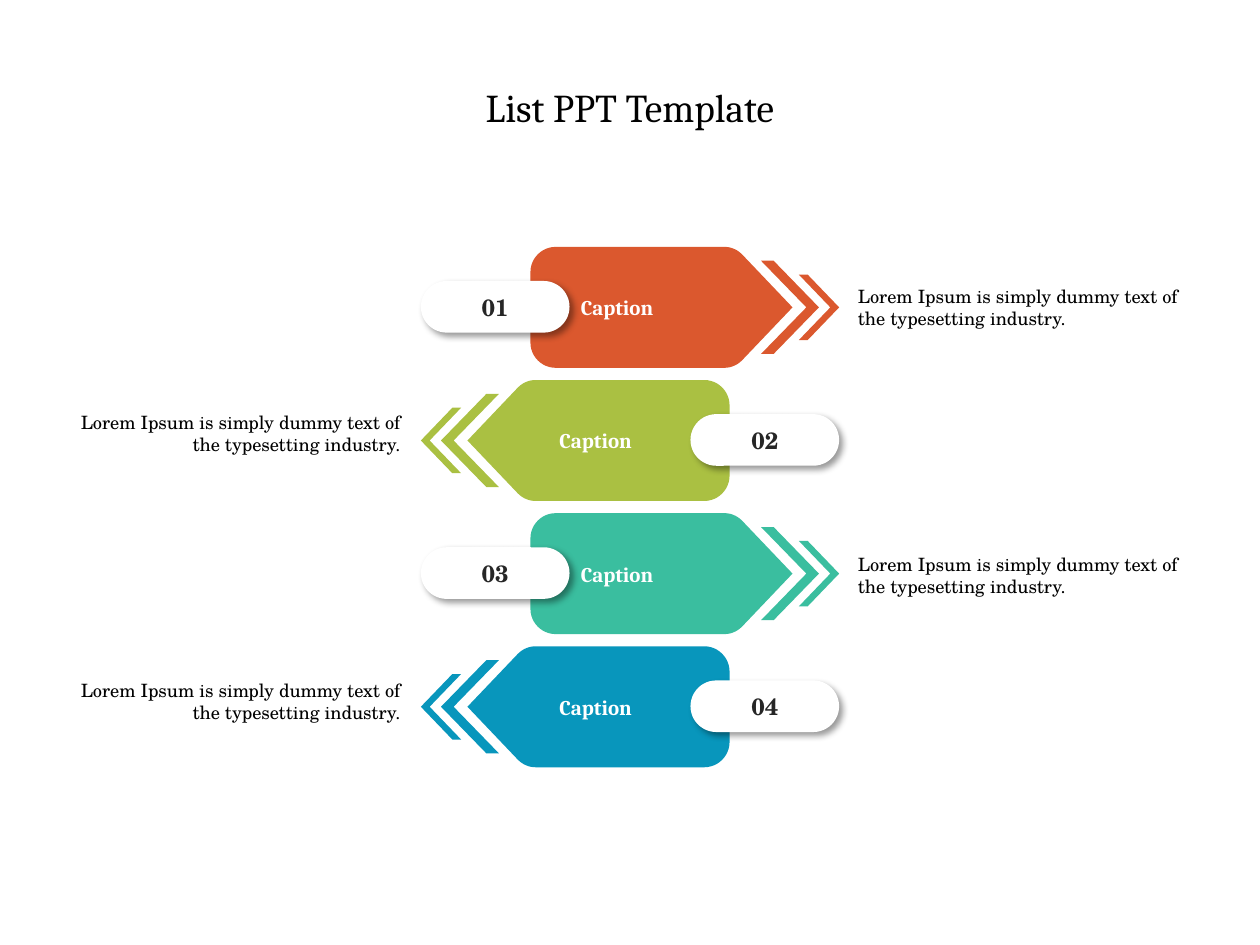
from pptx import Presentation
from pptx.dml.color import RGBColor
from pptx.enum.shapes import MSO_SHAPE
from pptx.enum.text import MSO_ANCHOR, MSO_AUTO_SIZE, PP_ALIGN
from pptx.oxml import parse_xml
from pptx.oxml.ns import nsdecls, qn
from pptx.util import Inches, Pt

PILL = MSO_SHAPE.ROUNDED_RECTANGLE
TOP, MIDDLE = MSO_ANCHOR.TOP, MSO_ANCHOR.MIDDLE
GROW, FIXED = MSO_AUTO_SIZE.SHAPE_TO_FIT_TEXT, MSO_AUTO_SIZE.NONE
LEFT, CENTER, RIGHT = PP_ALIGN.LEFT, PP_ALIGN.CENTER, PP_ALIGN.RIGHT
SERIF, BOOK = "Cambria", "TeX Gyre Schola"

TITLE = {"name": SERIF, "size": Pt(22.5), "bold": False}
CAPTION = {"name": SERIF, "size": Pt(12), "bold": True}
NUMBER = {"name": BOOK, "size": Pt(13.5), "bold": True}
DETAIL = {"name": BOOK, "size": Pt(10.5), "bold": False}

LOREM = "Lorem Ipsum is simply dummy text of the typesetting industry."
SHADOW = (f'<a:outerShdw {nsdecls("a")} blurRad="{Pt(4)}" dist="{Pt(3)}" '
          'dir="2700000" algn="tl" rotWithShape="0"><a:srgbClr val="000000">'
          '<a:alpha val="40000"/></a:srgbClr></a:outerShdw>')


def paint(target, color):
    target.solid()
    target.fore_color.rgb = RGBColor.from_string(color)


def write(shape, text, font, color, align, anchor, pads, fit, before=0):
    frame = shape.text_frame
    frame.word_wrap = True
    frame.auto_size = fit
    frame.vertical_anchor = anchor
    sides = ("margin_left", "margin_top", "margin_right", "margin_bottom")
    for side, pad in zip(sides, pads):
        setattr(frame, side, Inches(pad))
    para = frame.paragraphs[0]
    para.alignment = align
    para.space_before = Pt(before)
    run = para.add_run()
    run.text = text
    for key, value in font.items():
        setattr(run.font, key, value)
    paint(run.font.fill, color)


prs = Presentation()
prs.slide_width, prs.slide_height = Inches(10), Inches(7.5)
slide = prs.slides.add_slide(prs.slide_layouts[5])
shapes = slide.shapes

# Title
title = shapes.title
title.left, title.top = Inches(0), Inches(0.61)
title.width, title.height = Inches(10), Inches(0.48)
write(title, "List PPT Template", TITLE, "000000", CENTER, TOP,
      (0.1, 0.05, 0.1, 0.05), GROW)

# Upper half of the arrow, measured from the slide's middle and the row's
# centre: each curve is sampled from its four control points
curves = [
    [(0.89, -0.42), (0.85, -0.46), (0.8, -0.48), (0.75, -0.48)],
    [(-0.59, -0.48), (-0.7, -0.48), (-0.79, -0.39), (-0.79, -0.28)],
]
half = [(1.29, 0)]
for a, b, c, d in curves:
    for step in range(13):
        t = step / 12
        u = 1 - t
        half.append(tuple(
            u**3 * a[k] + 3 * u * u * t * b[k] + 3 * u * t * t * c[k] + t**3 * d[k]
            for k in (0, 1)))
parts = [half + [(x, -y) for x, y in reversed(half[1:])]]

# Two chevrons: inner edge, outer edge, both tips, half height
for inner, outer, notch, tip, rise in [
    (1.04, 1.14, 1.4, 1.5, 0.37),
    (1.34, 1.41, 1.59, 1.66, 0.26),
]:
    parts.append([(outer, -rise), (inner, -rise), (notch, 0),
                  (inner, rise), (outer, rise), (tip, 0)])

# Rows: colour, top of the detail text; arrows point right, then left
rows = [("DB582E", 2.26), ("AAC042", 3.26), ("3ABE9F", 4.39), ("0896BC", 5.39)]
pitch = 3.17 / 3
for i, (color, top) in enumerate(rows):
    mid = 2.44 + i * pitch
    side = -1 if i % 2 else 1

    # Arrow with chevrons
    build = None
    for part in parts:
        points = [(Inches(5 + side * x), Inches(mid + y)) for x, y in part]
        if build is None:
            build = shapes.build_freeform(*points[0], scale=1.0)
        else:
            build.move_to(*points[0])
        build.add_line_segments(points[1:], close=True)
    arrow = build.convert_to_shape()
    arrow.shadow.inherit = False
    paint(arrow.fill, color)
    arrow.line.fill.background()

    # Number pill
    pill = shapes.add_shape(PILL, Inches(5 - side * 1.07 - 0.59),
                            Inches(mid - 0.21), Inches(1.18), Inches(0.41))
    pill.adjustments[0] = 0.5
    pill.shadow.inherit = False
    pill._element.spPr.find(qn("a:effectLst")).append(parse_xml(SHADOW))
    paint(pill.fill, "FFFFFF")
    pill.line.fill.background()
    write(pill, f"{i + 1:02}", NUMBER, "262626", CENTER, MIDDLE,
          (0.03,) * 4, FIXED)

    # Caption
    label = shapes.add_textbox(Inches(4.61 if side > 0 else 4.44),
                               Inches(mid - 0.15), Inches(1), Inches(0.3))
    write(label, "Caption", CAPTION, "FFFFFF", LEFT, MIDDLE,
          (0, 0.05, 0, 0.05), GROW, 4.5)

    # Detail text
    note = shapes.add_textbox(Inches(6.81 if side > 0 else 0.55),
                              Inches(top), Inches(2.63), Inches(0.35))
    write(note, LOREM, DETAIL, "000000", LEFT if side > 0 else RIGHT, TOP,
          (0,) * 4, GROW, 4.5)

prs.save("out.pptx")
